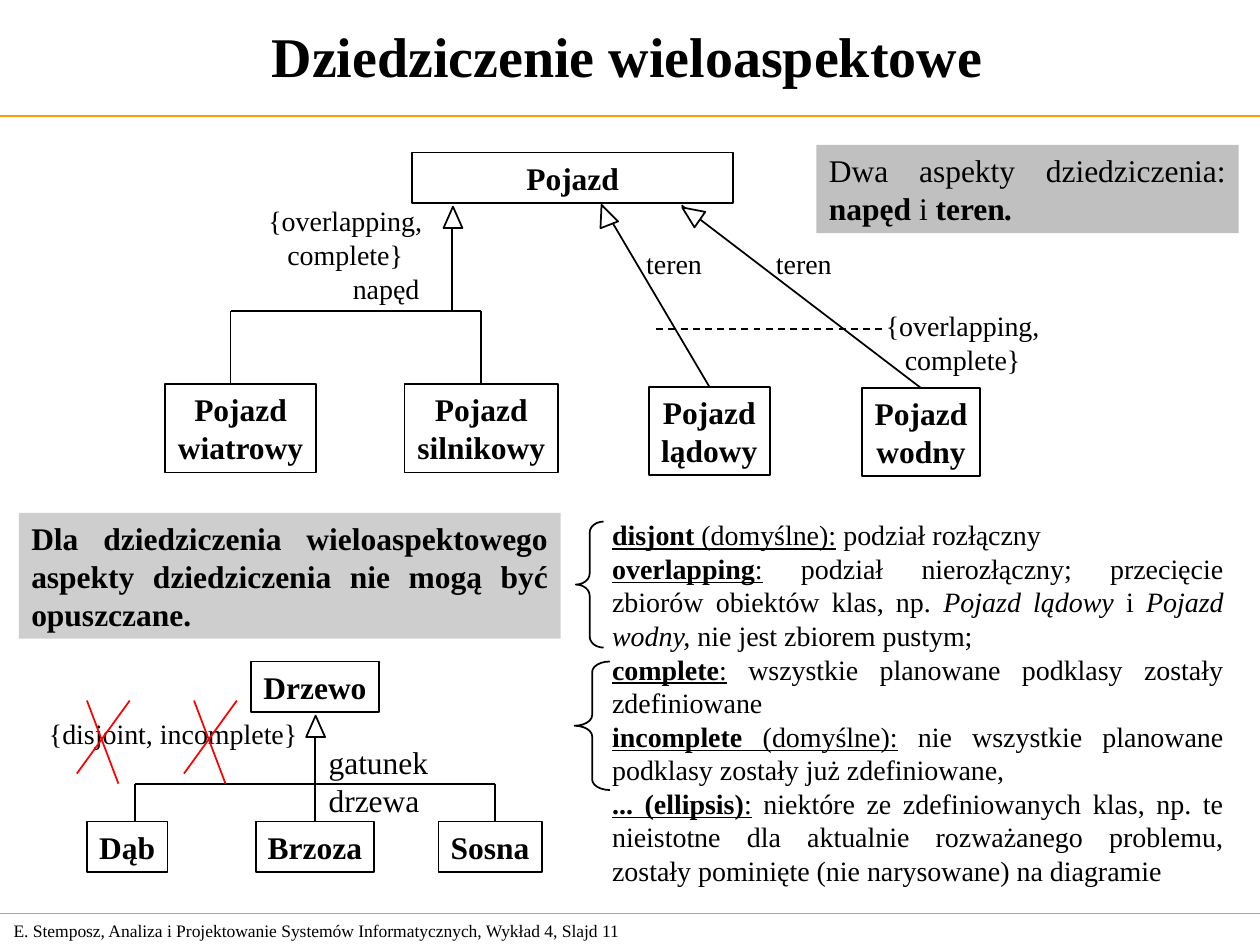
from dataclasses import dataclass
from typing import Any, Optional

from lxml.etree import SubElement
from pptx import Presentation
from pptx.dml.color import RGBColor
from pptx.enum.dml import MSO_LINE
from pptx.enum.shapes import MSO_CONNECTOR, MSO_SHAPE
from pptx.enum.text import MSO_ANCHOR, PP_ALIGN
from pptx.oxml.ns import qn
from pptx.util import Inches, Pt

FONT = "Times New Roman"
HEX = {"ink": "000000", "paper": "FFFFFF", "rule": "FF9900",
       "cross": "FF0000", "note": "CECECE", "hint": "C0C0C0"}
LEFT, MID, JUST = PP_ALIGN.LEFT, PP_ALIGN.CENTER, PP_ALIGN.JUSTIFY

# The grid has 100 columns and 75 rows of square cells
deck = Presentation()
deck.slide_width, deck.slide_height = Inches(10), Inches(7.5)
slide = deck.slides.add_slide(deck.slide_layouts[6])
CELL = deck.slide_width / 100


@dataclass
class Area:
    col: float
    row: float
    wide: float
    high: float

    def emu(self) -> list[int]:
        return [round(n * CELL) for n in (self.col, self.row, self.wide, self.high)]


@dataclass
class Text:
    area: Area
    rows: list  # each row is a string or a list of (string, style letters)
    size: int = 16
    bold: bool = False
    align: Any = MID
    wrap: bool = False
    anchor: Any = MSO_ANCHOR.TOP
    fill: Optional[str] = None
    edge: bool = False


@dataclass
class Line:
    x1: float
    y1: float
    x2: float
    y2: float
    color: str = "ink"
    width: float = 1
    dash: bool = False


def rgb(name: str) -> RGBColor:
    return RGBColor.from_string(HEX[name])


def paint(shape: Any, fill: Optional[str] = None, edge: bool = True) -> None:
    shape.shadow.inherit = False
    if fill:
        shape.fill.solid()
        shape.fill.fore_color.rgb = rgb(fill)
    else:
        shape.fill.background()
    if edge:
        shape.line.color.rgb = rgb("ink")
        shape.line.width = Pt(1)
    else:
        shape.line.fill.background()


def write(item: Text) -> Any:
    if item.fill or item.edge:
        shape = slide.shapes.add_shape(MSO_SHAPE.RECTANGLE, *item.area.emu())
        paint(shape, item.fill, item.edge)
    else:
        shape = slide.shapes.add_textbox(*item.area.emu())
    frame = shape.text_frame
    frame.word_wrap = item.wrap
    frame.vertical_anchor = item.anchor
    for i, row in enumerate(item.rows):
        para = frame.add_paragraph() if i else frame.paragraphs[0]
        para.alignment = item.align
        font = para.font
        font.name, font.size, font.bold = FONT, Pt(item.size), item.bold
        font.color.rgb = rgb("ink")
        for words, style in [(row, "")] if isinstance(row, str) else row:
            run = para.add_run()
            run.text = words
            if "b" in style:
                run.font.bold = True
            if "i" in style:
                run.font.italic = True
            if "u" in style:
                run.font.underline = True
    return shape


def draw(item: Line, home: Any = slide.shapes) -> Any:
    ends = [round(n * CELL) for n in (item.x1, item.y1, item.x2, item.y2)]
    link = home.add_connector(MSO_CONNECTOR.STRAIGHT, *ends)
    link.line.color.rgb = rgb(item.color)
    link.line.width = Pt(item.width)
    if item.dash:
        link.line.dash_style = MSO_LINE.DASH
    SubElement(link._element.spPr, qn("a:effectLst"))
    return link


def head(col: float, row: float, turn: float = 0, fill: Optional[str] = None) -> None:
    shape = slide.shapes.add_shape(MSO_SHAPE.ISOSCELES_TRIANGLE,
                                   *Area(col, row, 1.5, 1.7).emu())
    shape.rotation = turn
    paint(shape, fill)


def brace(area: Area, curve: float) -> None:
    shape = slide.shapes.add_shape(MSO_SHAPE.LEFT_BRACE, *area.emu())
    shape.adjustments[0] = curve
    paint(shape)


def cross(col: float, row: float) -> None:
    group = slide.shapes.add_group_shape()
    for x1, y1, x2, y2 in ((0.8, 0, 3.3, 6.6), (0, 5.8, 4.2, 0)):
        draw(Line(col + x1, row + y1, col + x2, row + y2, "cross"), group.shapes)


def box(area: Area, *rows: str) -> Any:
    return write(Text(area, list(rows), 18, True, edge=True))


# Title, footer and rules
write(Text(Area(0.1, 72.5, 52.4, 2.7),
           ["E. Stemposz, Analiza i Projektowanie Systemów Informatycznych, Wykład 4, Slajd 11"],
           10, align=LEFT, wrap=True, anchor=MSO_ANCHOR.MIDDLE))
for row, width in ((9.2, 1), (72.5, 0.75)):
    draw(Line(0, row, 100, row, "rule", width))
write(Text(Area(0, 0.1, 99.6, 8.5), ["Dziedziczenie wieloaspektowe"], 32, True,
           wrap=True, anchor=MSO_ANCHOR.MIDDLE))

# Vehicle classes
box(Area(32.7, 12.1, 25.5, 4), "Pojazd")
box(Area(13.1, 30.5, 12, 7), "Pojazd", "wiatrowy")
motor = box(Area(32.1, 30.5, 12.2, 7), "Pojazd", "silnikowy")
land = box(Area(51.5, 30.7, 9.6, 7), "Pojazd", "lądowy")
water = box(Area(68.4, 30.8, 9.4, 7), "Pojazd", "wodny")

# Vehicle links
draw(Line(73.1, 30.8, 54.1, 16.3)).begin_connect(water, 0)
draw(Line(56.3, 30.7, 47.8, 16.3)).begin_connect(land, 0)
draw(Line(38.2, 24.7, 38.2, 30.5)).end_connect(motor, 0)
for item in (Line(18.3, 24.7, 18.3, 30.5), Line(18.3, 24.7, 38.2, 24.7),
             Line(35.9, 18.1, 35.9, 24.8), Line(70, 26.1, 52, 26.1, dash=True)):
    draw(item)
head(54.1, 16.1, 304.7, "paper")
head(47.3, 16.2, 338.7, "paper")
head(35.2, 16.4)

# Vehicle labels
for col, row in ((20.3, 15.7), (69.3, 24)):
    write(Text(Area(col, row, 14.2, 6.3), ["{overlapping,", "complete}"]))
write(Text(Area(27, 21.1, 7.3, 3.7), ["napęd"]))
for col in (50.3, 60.6):
    write(Text(Area(col, 19.1, 6.4, 3.7), ["teren"]))

# Tree classes and links
box(Area(19.9, 52.5, 10.2, 4), "Drzewo")
box(Area(6.9, 65.2, 6.4, 4), "Dąb")
birch = box(Area(20.3, 65.2, 9.4, 4), "Brzoza")
box(Area(34.8, 65.2, 8.2, 4), "Sosna")
head(24.3, 56.8)
draw(Line(25, 58.6, 25, 65.2)).end_connect(birch, 0)
draw(Line(10.7, 62.2, 39.3, 62.2))
for col in (10.7, 39.3):
    draw(Line(col, 62.2, col, 65.2))
write(Text(Area(2.9, 56.4, 21.7, 3.6), ["{disjoint, incomplete}"]))
write(Text(Area(25.1, 58.5, 17.7, 4), ["gatunek drzewa"], 18, align=LEFT))
for col in (6.1, 14.6):
    cross(col, 55.6)

# Grey notes
write(Text(Area(1.5, 40.7, 43, 10),
           ["Dla dziedziczenia wieloaspektowego aspekty dziedziczenia nie mogą być opuszczane."],
           18, True, JUST, True, fill="note"))
write(Text(Area(64.8, 11.5, 33.5, 7),
           [[("Dwa aspekty dziedziczenia: ", ""), ("napęd", "b"), (" i ", ""),
             ("teren", "b"), (".", "bi")]],
           18, align=JUST, wrap=True, fill="hint"))

# Glossary with braces
write(Text(Area(47.6, 40.6, 50.5, 30.3), [
    [("disjont", "bu"), (" (domyślne):", "u"), (" podział rozłączny", "")],
    [("overlapping", "bu"), (":", "u"),
     (" podział nierozłączny; przecięcie zbiorów obiektów klas, np. ", ""),
     ("Pojazd lądowy ", "i"), ("i ", ""), ("Pojazd wodny, ", "i"),
     ("nie jest zbiorem pustym;", "")],
    [("complete", "bu"), (":", "u"),
     (" wszystkie planowane podklasy zostały zdefiniowane", "")],
    [("incomplete ", "bu"), ("(domyślne):", "u"),
     (" nie wszystkie planowane podklasy zostały już zdefiniowane,", "")],
    [("... (ellipsis)", "bu"), (":", "u"),
     (" niektóre ze zdefiniowanych klas, np. te nieistotne dla aktualnie rozważanego "
      "problemu, zostały pominięte (nie narysowane) na diagramie", "")],
], align=JUST, wrap=True))
brace(Area(45.7, 41.4, 2.2, 10), 0.4)
brace(Area(45.6, 52.5, 2.8, 10.2), 0.3)

deck.save("out.pptx")
